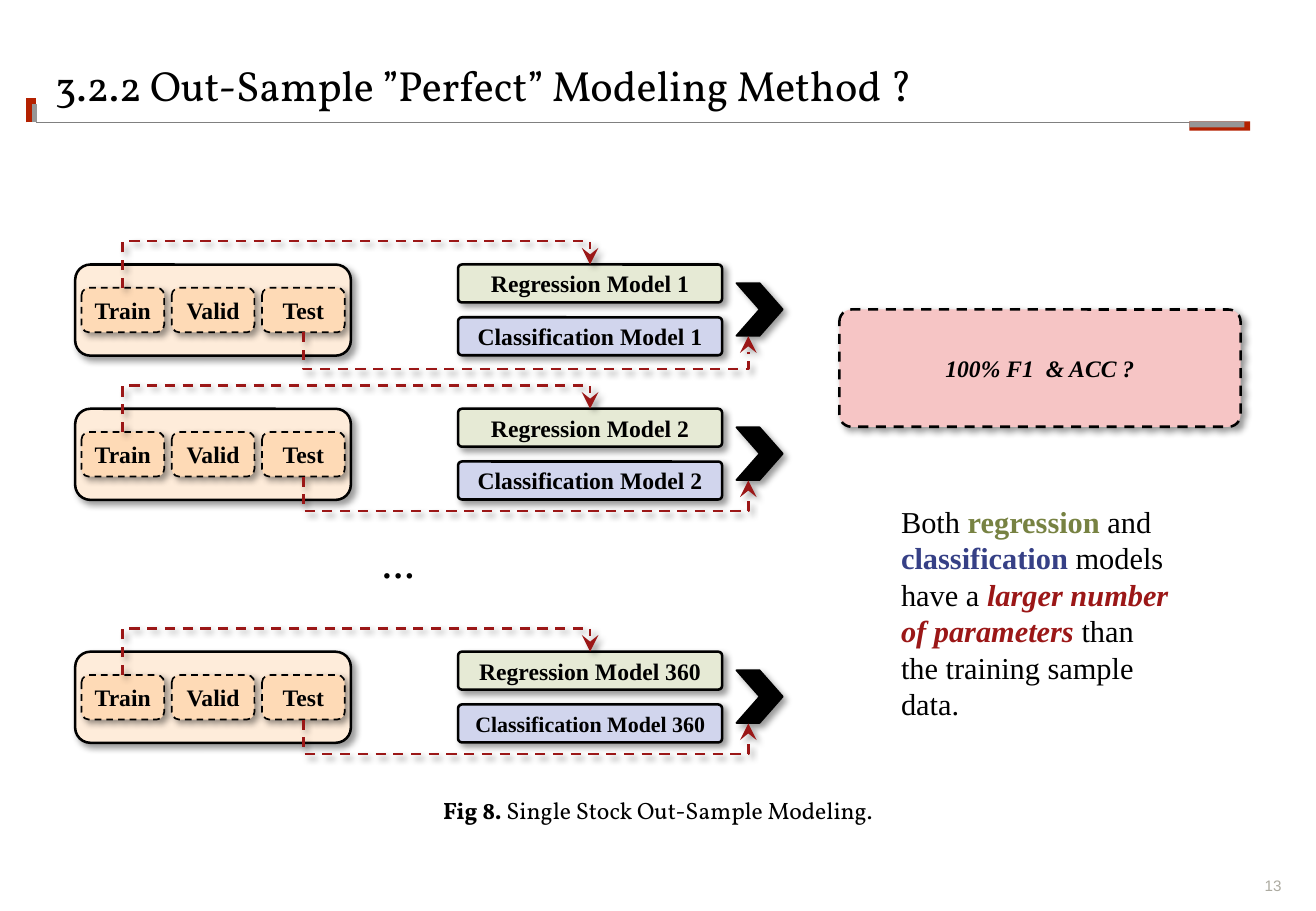
from lxml.etree import SubElement
from pptx import Presentation
from pptx.dml.color import RGBColor
from pptx.enum.dml import MSO_LINE
from pptx.enum.shapes import MSO_CONNECTOR as CONNECTOR, MSO_SHAPE as SHAPE
from pptx.enum.text import MSO_ANCHOR as ANCHOR, MSO_AUTO_SIZE, PP_ALIGN as ALIGN
from pptx.oxml.ns import qn
from pptx.util import Pt

SERIF, DISPLAY = "Times New Roman", "Vollkorn"
BLACK, GREY, RED, ARROW_RED = "000000", "969696", "B42100", "9B1717"
CASE_FILL, TAG_FILL = "FEECDA", "FEDAB6"
GREEN_FILL, BLUE_FILL, PINK_FILL = "E6EAD5", "D1D5ED", "F6C5C5"


def colour(hex_code):
    return RGBColor.from_string(hex_code)


def add_shadow(effects):
    shadow = SubElement(effects, qn("a:outerShdw"), blurRad=str(Pt(4)),
                        dist=str(Pt(3)), dir="2700000", algn="tl", rotWithShape="0")
    black = SubElement(shadow, qn("a:srgbClr"), val=BLACK)
    SubElement(black, qn("a:alpha"), val="40000")


class Sketch:
    """Holds the current slide and the style shared by its elements."""

    def __init__(self, page):
        self.page = page
        self.shapes = page.shapes

    def fill_text(self, shape, spans, size=14, font=SERIF, ink=BLACK, bold=False,
                  italic=False, align=ALIGN.CENTER, anchor=ANCHOR.MIDDLE, margin=0, wrap=True):
        """Fills a shape with one paragraph; spans are (text, font overrides) pairs."""
        frame = shape.text_frame
        frame.auto_size = MSO_AUTO_SIZE.NONE
        frame.word_wrap = wrap
        frame.vertical_anchor = anchor
        frame.margin_left = frame.margin_right = Pt(margin)
        frame.margin_top = frame.margin_bottom = Pt(margin)
        para = frame.paragraphs[0]
        para.alignment = align
        style = para.font
        style.name, style.size = font, Pt(size)
        style.bold, style.italic = bold, italic
        style.color.rgb = colour(ink)
        for text, overrides in spans:
            span = para.add_run()
            span.text = text
            if "ink" in overrides:
                span.font.color.rgb = colour(overrides["ink"])
            if "bold" in overrides:
                span.font.bold = overrides["bold"]
            if "italic" in overrides:
                span.font.italic = overrides["italic"]

    def title(self, text, left, top, width, height):
        holder = self.shapes.title
        holder.left, holder.top = Pt(left), Pt(top)
        holder.width, holder.height = Pt(width), Pt(height)
        self.fill_text(holder, [(text, {})], size=25, font=DISPLAY, align=ALIGN.LEFT)

    def text(self, spans, left, top, width, height, **style):
        box = self.shapes.add_textbox(Pt(left), Pt(top), Pt(width), Pt(height))
        self.fill_text(box, spans, **style)

    def block(self, kind, left, top, width, height, fill, line=None, dash=False,
              corner=None, shadow=True, text=None, **style):
        shape = self.shapes.add_shape(kind, Pt(left), Pt(top), Pt(width), Pt(height))
        shape.fill.solid()
        shape.fill.fore_color.rgb = colour(fill)
        if line:
            shape.line.color.rgb = colour(BLACK)
            shape.line.width = Pt(line)
        else:
            shape.line.fill.background()
        if dash:
            shape.line.dash_style = MSO_LINE.DASH
        if corner:
            shape.adjustments[0] = corner
        shape.shadow.inherit = False
        if shadow:
            add_shadow(shape._element.spPr.find(qn("a:effectLst")))
        if text:
            self.fill_text(shape, [(text, {})], bold=True, margin=5.76, **style)

    def line(self, kind, x1, y1, x2, y2, ink, width):
        """Draws a connector and returns it with its empty effect list."""
        connector = self.shapes.add_connector(kind, Pt(x1), Pt(y1), Pt(x2), Pt(y2))
        connector.line.color.rgb = colour(ink)
        connector.line.width = Pt(width)
        return connector, SubElement(connector._element.spPr, qn("a:effectLst"))

    def detour(self, x1, y1, x2, y2, lane):
        """Draws a dashed arrow that leaves vertically, runs along lane and ends vertically."""
        rise, run = abs(y2 - y1), x2 - x1
        left, top = (x1 + x2 - rise) / 2, (y1 + y2 - run) / 2
        arrow, effects = self.line(CONNECTOR.ELBOW, left, top, left + rise, top + run,
                                   ARROW_RED, 1.5)
        arrow.line.dash_style = MSO_LINE.DASH
        properties = arrow._element.spPr
        SubElement(properties.find(qn("a:ln")), qn("a:tailEnd"),
                   type="stealth", w="lg", len="lg")
        add_shadow(effects)
        frame = properties.find(qn("a:xfrm"))
        upward = y2 < y1
        frame.set("rot", "5400000" if upward else "16200000")
        frame.set("flipH", "1")
        if upward:
            frame.set("flipV", "1")
        guides = properties.find(qn("a:prstGeom")).get_or_add_avLst()
        bend = round((lane - y1) / (y2 - y1) * 100000)
        SubElement(guides, qn("a:gd"), name="adj1", fmla=f"val {bend}")

    def experiment(self, number, top, lane):
        """Draws one data split, its two models and the arrows between them."""
        models = (("Regression", GREEN_FILL, 14),
                  ("Classification", BLUE_FILL, 13 if number > 99 else 14))
        for index, (name, fill, size) in enumerate(models):
            self.block(SHAPE.ROUNDED_RECTANGLE, 271.5, top + 31.3 * index, 156.5, 22.5,
                       fill, line=1.5, corner=0.103, text=f"{name} Model {number}", size=size)
        self.block(SHAPE.CHEVRON, 436.5, top + 11, 27.5, 31.2, BLACK, line=1)
        self.block(SHAPE.ROUNDED_RECTANGLE, 44.6, top, 163.4, 54, CASE_FILL, line=1.5)
        for index, name in enumerate(("Train", "Valid", "Test")):
            self.block(SHAPE.ROUNDED_RECTANGLE, 48.3 + 53.5 * index, top + 13.8, 49, 26.4,
                       TAG_FILL, line=1, dash=True, text=name)
        self.detour(72.8, top + 13.8, 349.8, top, top - 13.8)
        self.detour(179.8, top + 40.2, 443.5, top + 42.5, top + lane)


def main():
    deck = Presentation()
    deck.slide_width, deck.slide_height = Pt(780), Pt(540)
    sketch = Sketch(deck.slides.add_slide(deck.slide_layouts[5]))

    sketch.text([("13", {})], 737.3, 519, 22.3, 11, size=9, font="Arial", ink="ADABA1",
                align=ALIGN.RIGHT, anchor=ANCHOR.BOTTOM, wrap=False)
    for x1, y1, x2, y2, ink, width in ((21.5, 72.6, 740, 72.6, "808080", 1),
                                       (18.6, 72.6, 18.6, 58.3, RED, 6),
                                       (20.5, 72.6, 20.5, 61.8, GREY, 3)):
        sketch.line(CONNECTOR.STRAIGHT, x1, y1, x2, y2, ink, width)
    for width, height, fill in ((36, 5.4, RED), (32.6, 3.5, GREY)):
        sketch.block(SHAPE.RECTANGLE, 705, 72, width, height, fill, shadow=False)
    sketch.title("3.2.2 Out-Sample ”Perfect” Modeling Method ?", 32.6, 29, 569.5, 42.5)

    for number, top, lane in ((1, 156.8, 62), (2, 242.3, 60.6), (360, 386.3, 60.6)):
        sketch.experiment(number, top, lane)
    sketch.text([("···", {})], 44.6, 313, 383, 54, size=20, bold=True, margin=5.76)

    sketch.block(SHAPE.ROUNDED_RECTANGLE, 497.5, 183.5, 237.8, 69.5, PINK_FILL, line=1.5,
                 dash=True, corner=0.103, text="100% F1  & ACC ?", italic=True)
    sketch.text([("Both ", {}),
                 ("regression", {"ink": "778242", "bold": True}),
                 (" and ", {}),
                 ("classification", {"ink": "364086", "bold": True}),
                 (" models have a ", {}),
                 ("larger number of parameters ",
                  {"ink": ARROW_RED, "bold": True, "italic": True}),
                 ("than the training sample data.", {})],
                527, 291, 178, 138, size=18, align=ALIGN.LEFT, anchor=ANCHOR.TOP, margin=7.2)
    sketch.text([("Fig 8. ", {"bold": True}), ("Single Stock Out-Sample Modeling.", {})],
                129, 471.6, 522, 17.3, font=DISPLAY, anchor=ANCHOR.BOTTOM)
    deck.save("out.pptx")


if __name__ == "__main__":
    main()
